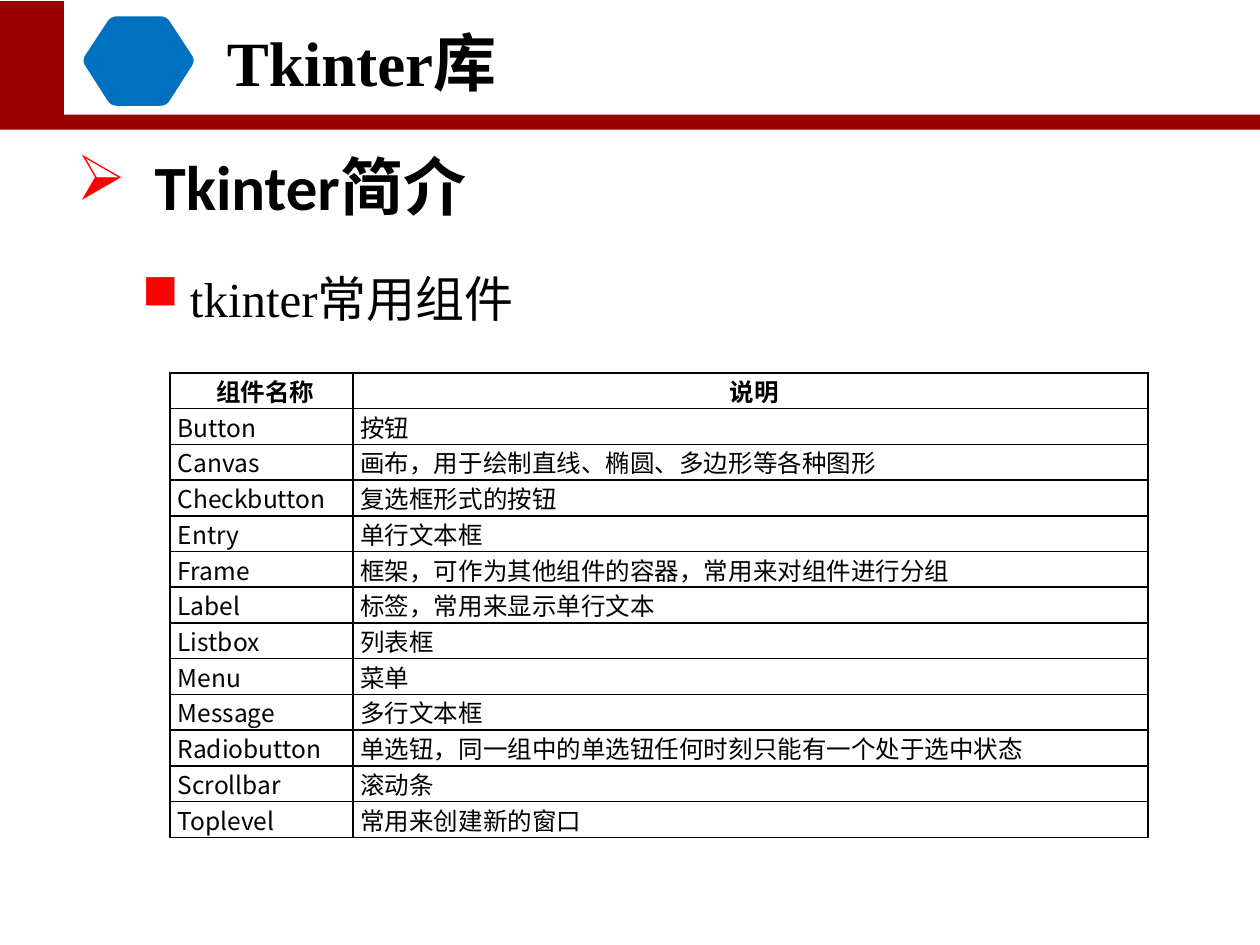
from math import hypot

from lxml.etree import SubElement
from pptx import Presentation
from pptx.dml.color import RGBColor
from pptx.enum.shapes import MSO_SHAPE as Shape
from pptx.enum.text import MSO_ANCHOR as Anchor, PP_ALIGN as Align
from pptx.oxml.ns import qn
from pptx.util import Inches, Pt

SANS, SERIF = "Noto Sans CJK SC", "Times New Roman"

ROWS = [
    ("组件名称", "说明"),
    ("Button", "按钮"),
    ("Canvas", "画布，用于绘制直线、椭圆、多边形等各种图形"),
    ("Checkbutton", "复选框形式的按钮"),
    ("Entry", "单行文本框"),
    ("Frame", "框架，可作为其他组件的容器，常用来对组件进行分组"),
    ("Label", "标签，常用来显示单行文本"),
    ("Listbox", "列表框"),
    ("Menu", "菜单"),
    ("Message", "多行文本框"),
    ("Radiobutton", "单选钮，同一组中的单选钮任何时刻只能有一个处于选中状态"),
    ("Scrollbar", "滚动条"),
    ("Toplevel", "常用来创建新的窗口"),
]


def color(code):
    return RGBColor.from_string(code)


def paint(shape, code, alpha=100):
    shape.shadow.inherit = False
    shape.fill.solid()
    shape.fill.fore_color.rgb = color(code)
    shape.line.fill.background()
    if alpha < 100:
        tint = shape._element.spPr.find(qn("a:solidFill"))[0]
        SubElement(tint, qn("a:alpha"), val=str(alpha * 1000))


def write(frame, text, size=14, font=SANS, bold=False, align=Align.LEFT):
    para = frame.paragraphs[0]
    para.alignment = align
    run = para.add_run()
    run.text = text
    run.font.size = Pt(size)
    run.font.name = font
    run.font.bold = bold
    run.font.color.rgb = color("000000")
    SubElement(run.font._element, qn("a:ea"), typeface=SANS)
    return para


def add_bar(slide, x, y, w, h, code, alpha=100):
    bar = slide.shapes.add_shape(
        Shape.RECTANGLE, Inches(x), Inches(y), Inches(w), Inches(h))
    paint(bar, code, alpha)


def add_text(slide, x, y, w, h, text, anchor=Anchor.MIDDLE, **style):
    box = slide.shapes.add_textbox(Inches(x), Inches(y), Inches(w), Inches(h))
    frame = box.text_frame
    frame.word_wrap = True
    frame.vertical_anchor = anchor
    return write(frame, text, **style)


def add_bullet(para, mark, indent):
    # Wingdings letters: n is a square, Ø an arrowhead
    props = para._p.get_or_add_pPr()
    props.set("marL", str(Inches(indent)))
    props.set("indent", str(-Inches(indent)))
    tint = SubElement(props, qn("a:buClr"))
    SubElement(tint, qn("a:srgbClr"), val="FF0000")
    SubElement(props, qn("a:buFont"), typeface="Wingdings",
               pitchFamily="2", charset="2")
    SubElement(props, qn("a:buChar"), char=mark)


def toward(start, end, dist):
    part = dist / hypot(end[0] - start[0], end[1] - start[1])
    return tuple(a + (b - a) * part for a, b in zip(start, end))


def add_badge(slide, corners, cut, code, steps=6):
    # Each corner is rounded by a sampled quadratic curve
    dots = []
    for i, tip in enumerate(corners):
        a = toward(tip, corners[i - 1], cut)
        b = toward(tip, corners[(i + 1) % len(corners)], cut)
        for n in range(steps + 1):
            t = n / steps
            dots.append(tuple(
                Inches((1 - t) ** 2 * p + 2 * t * (1 - t) * q + t * t * r)
                for p, q, r in zip(a, tip, b)))
    form = slide.shapes.build_freeform(*dots[0], scale=1.0)
    form.add_line_segments(dots[1:], close=True)
    paint(form.convert_to_shape(), code)


def add_border(cell, code, width):
    props = cell._tc.get_or_add_tcPr()
    for side in ("a:lnL", "a:lnR", "a:lnT", "a:lnB"):
        line = SubElement(props, qn(side), w=str(Pt(width)))
        fill = SubElement(line, qn("a:solidFill"))
        SubElement(fill, qn("a:srgbClr"), val=code)


def add_grid(slide, x, y, h, widths, rows):
    table = slide.shapes.add_table(
        len(rows), len(widths), Inches(x), Inches(y),
        Inches(sum(widths)), Inches(h)).table
    table.first_row = table.horz_banding = False
    for col, width in zip(table.columns, widths):
        col.width = Inches(width)
    for i, row in enumerate(rows):
        for j, text in enumerate(row):
            cell = table.cell(i, j)
            cell.margin_left = Inches(0.06)
            cell.margin_top = cell.margin_right = cell.margin_bottom = 0
            add_border(cell, "080000", 1)
            cell.fill.background()
            head = i == 0
            write(cell.text_frame, text, bold=head,
                  align=Align.CENTER if head else Align.LEFT)


def main():
    deck = Presentation()
    deck.slide_width, deck.slide_height = Inches(10), Inches(7.5)
    slide = deck.slides.add_slide(deck.slide_layouts[6])

    # Header band
    add_bar(slide, 0, 0.01, 10, 1.02, "990000")
    add_bar(slide, 0.51, 0, 9.49, 0.91, "FFFFFF")
    add_bar(slide, 7.36, 0.02, 2.62, 0.86, "FFFFFF", alpha=70)

    # Topic and component table
    topic = add_text(slide, 1.03, 2.08, 8.5, 0.7, "tkinter常用组件",
                     anchor=Anchor.TOP, size=28, font=SERIF)
    add_bullet(topic, "n", 0.38)
    add_grid(slide, 1.35, 2.96, 3.69, (1.45, 6.31), ROWS)

    # Section heading
    intro = add_text(slide, 0.51, 1.11, 9, 0.72, "Tkinter简介",
                     size=36, font="Calibri", bold=True)
    add_bullet(intro, "Ø", 0.62)

    # Badge and chapter title
    hexagon = [(0.65, 0.48), (0.88, 0.13), (1.32, 0.13),
               (1.55, 0.48), (1.32, 0.84), (0.88, 0.84)]
    add_badge(slide, hexagon, 0.05, "0070C0")
    add_text(slide, -0.12, 0.13, 5.98, 0.71, "Tkinter库",
             size=36, font=SERIF, bold=True, align=Align.CENTER)

    deck.save("out.pptx")


if __name__ == "__main__":
    main()
